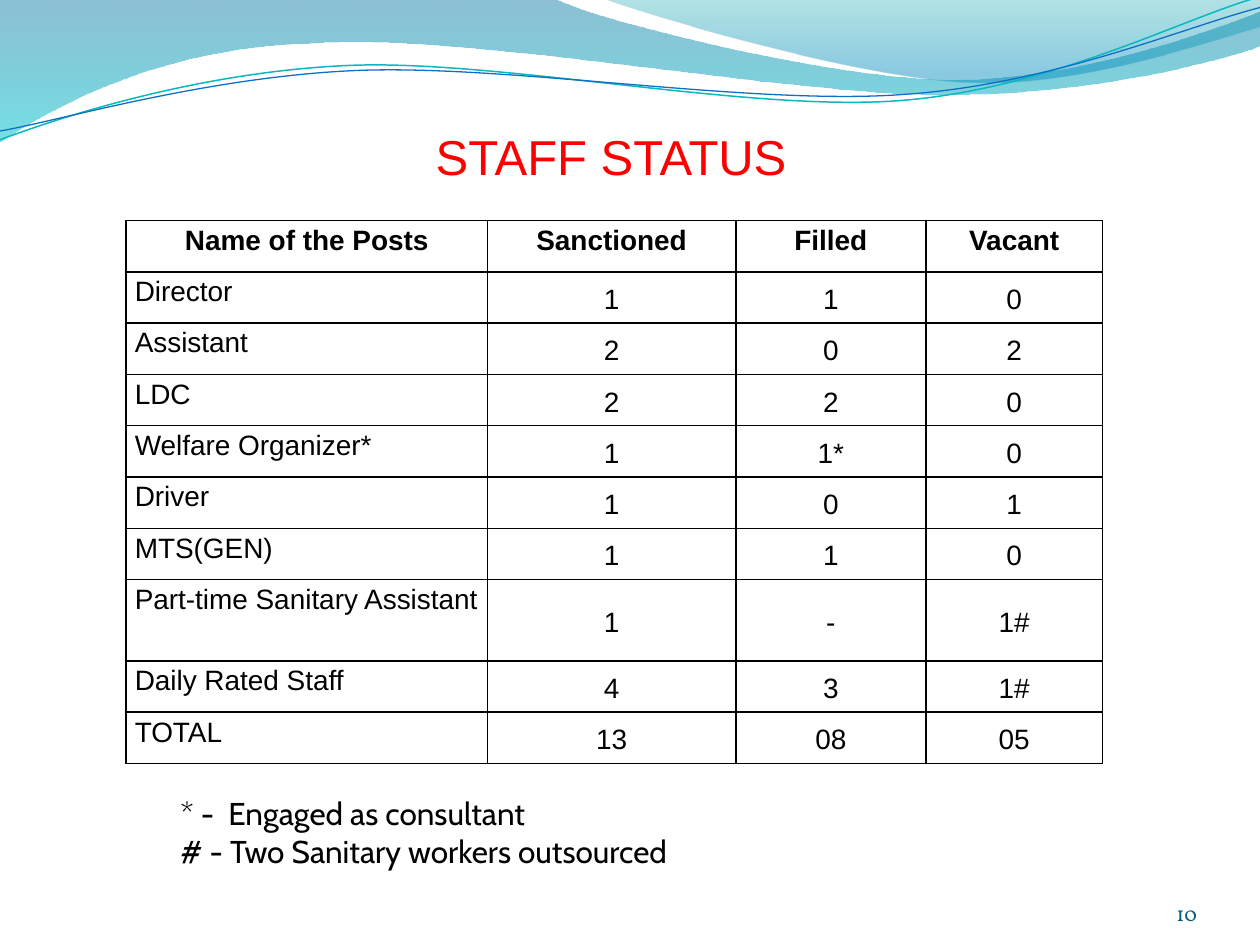
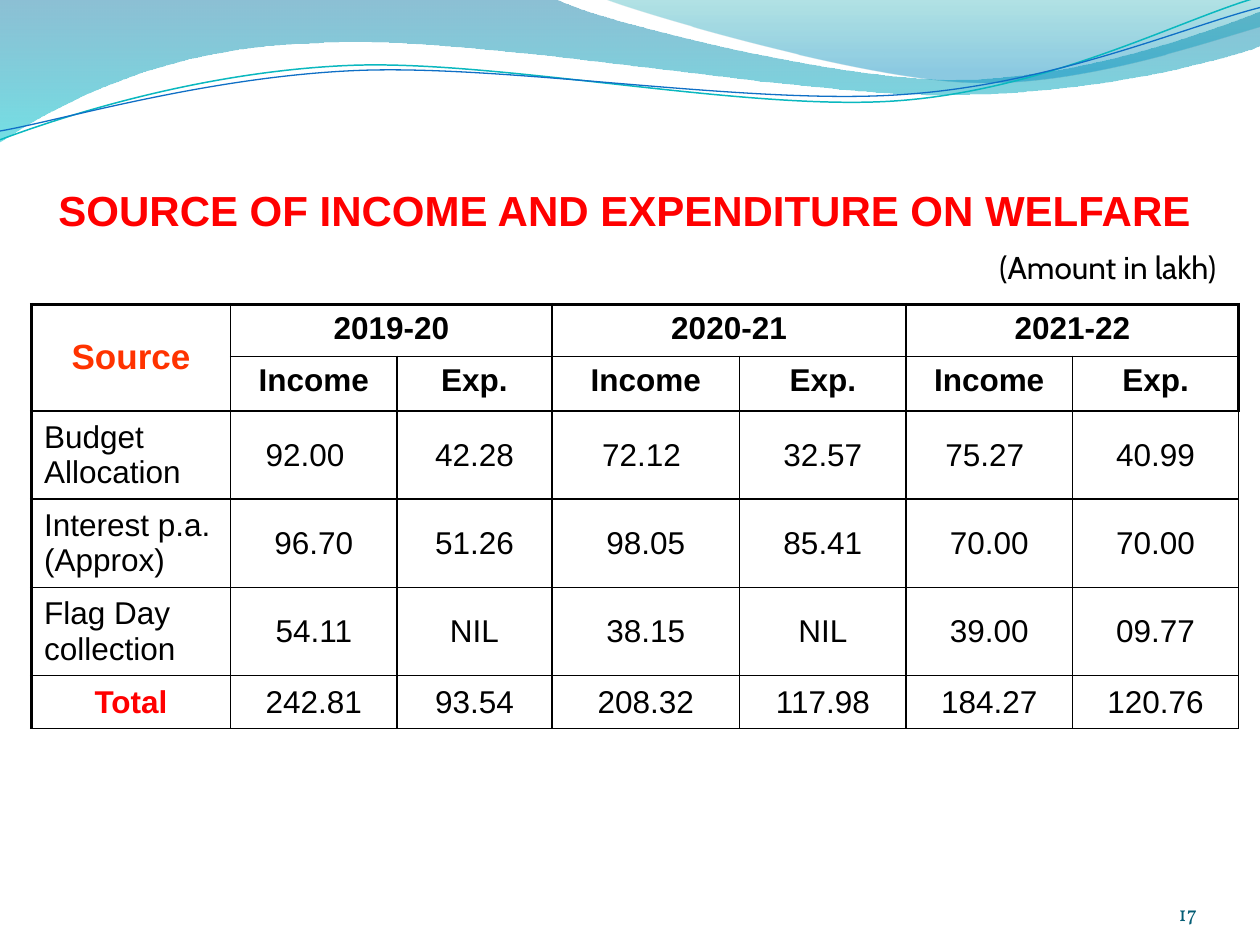
"""Build two welfare department slides: staff status and income by source."""
from dataclasses import dataclass, field

from lxml.etree import SubElement
from pptx import Presentation
from pptx.dml.color import RGBColor
from pptx.enum.text import MSO_ANCHOR, MSO_AUTO_SIZE, PP_ALIGN
from pptx.oxml import parse_xml
from pptx.oxml.ns import nsdecls, qn
from pptx.util import Inches, Pt

GRID_COLUMNS, GRID_ROWS = 120, 90
SLIDE_WIDTH, SLIDE_HEIGHT = Inches(10), Inches(7.5)
TITLE_ONLY = 5
FIRST_WAVE_ID = 100
NOTE_TAB = Inches(0.38)


@dataclass(frozen=True)
class Theme:
    """Colours, fonts and type sizes of the deck."""
    text: str = "000000"
    title: str = "FF0000"
    source: str = "FF3300"
    number: str = "045D75"
    body_font: str = "Arial"
    note_font: str = "Cabin"
    number_font: str = "Vollkorn"
    number_size: float = 12
    small_size: float = 16
    body_size: float = 18
    accent_size: float = 20
    heading_size: float = 24
    title_size: float = 28
    thin_border: float = 1
    thick_border: float = 2.25


THEME = Theme()


@dataclass(frozen=True)
class Frame:
    """A rectangle in grid columns and rows."""
    column: float
    row: float
    columns: float
    rows: float

    def box(self) -> tuple[int, int, int, int]:
        """Return left, top, width and height in EMU."""
        across, down = SLIDE_WIDTH / GRID_COLUMNS, SLIDE_HEIGHT / GRID_ROWS
        return (round(self.column * across), round(self.row * down),
                round(self.columns * across), round(self.rows * down))


@dataclass(frozen=True)
class TextStyle:
    """Look of a run and of its paragraph."""
    size: float
    font: str = THEME.body_font
    color: str = THEME.text
    bold: bool = False
    align: PP_ALIGN = PP_ALIGN.CENTER


@dataclass(frozen=True)
class Wave:
    """A header outline in inches: pairs are corners, sixes are Bezier curves."""
    start: tuple[float, float]
    segments: tuple[tuple[float, ...], ...]
    stops: tuple[tuple[float, str, int], ...] = ()
    line_color: str = ""
    line_width: float = 0


@dataclass(frozen=True)
class TableSpec:
    """Content and rules of a bordered table."""
    frame: Frame
    column_weights: tuple[float, ...]
    row_weights: tuple[float, ...]
    rows: tuple[tuple[str, ...], ...]
    size: float
    insets: tuple[float, float]
    label_anchor: MSO_ANCHOR
    header_rows: int = 1
    line_spacing: float = 1.0
    thick_edges: bool = False
    merges: tuple[tuple[int, int, int, int], ...] = ()
    accents: dict[tuple[int, int], TextStyle] = field(default_factory=dict)
    right_shifts: dict[tuple[int, int], float] = field(default_factory=dict)


WAVES = (
    Wave((0, 0), ((4.4, -0.01), (4.76, 0.17, 6.64, 0.63, 7.58, 0.63),
                  (8.53, 0.63, 9.58, 0.26, 10, 0.09), (10.01, 0.36),
                  (9.83, 0.44, 8.7, 0.76, 7.46, 0.75),
                  (6.22, 0.75, 3.82, 0.28, 2.57, 0.34),
                  (1.29, 0.36, 0.46, 0.83, -0.01, 1.13)),
         stops=((0, "0074A1", 45), (1, "00C6CF", 55))),
    Wave((4.79, -0.01), ((5.09, 0.11, 6.82, 0.62, 7.69, 0.65),
                         (8.56, 0.69, 9.61, 0.32, 10, 0.21), (10, 0)),
         stops=((0, "00A1A9", 30), (0.8, "008BBF", 45))),
    Wave((0, 1.11), ((0.48, 0.93, 1.58, 0.57, 2.77, 0.52),
                     (3.95, 0.47, 5.93, 0.89, 7.13, 0.8),
                     (8.33, 0.71, 9.38, 0.15, 9.98, -0.02)),
         line_color="0AB8BF", line_width=0.85),
    Wave((0, 1.04), ((0.47, 0.96, 1.64, 0.61, 2.83, 0.56),
                     (4.03, 0.51, 5.97, 0.84, 7.17, 0.75),
                     (8.36, 0.67, 9.41, 0.21, 10, 0.06)),
         line_color="0F6FC6", line_width=0.75),
)

STAFF = TableSpec(
    frame=Frame(12, 21, 93, 51.75),
    column_weights=(2.87, 1.97, 1.51, 1.4),
    row_weights=(0.41,) * 7 + (0.65,) + (0.41,) * 2,
    rows=(
        ("Name of the Posts", "Sanctioned", "Filled", "Vacant"),
        ("Director", "1", "1", "0"),
        ("Assistant", "2", "0", "2"),
        ("LDC", "2", "2", "0"),
        ("Welfare Organizer*", "1", "1*", "0"),
        ("Driver", "1", "0", "1"),
        ("MTS(GEN)", "1", "1", "0"),
        ("Part-time Sanitary Assistant", "1", "-", "1#"),
        ("Daily Rated Staff", "4", "3", "1#"),
        ("TOTAL", "13", "08", "05"),
    ),
    size=THEME.small_size, insets=(0.07, 0), label_anchor=MSO_ANCHOR.TOP,
    line_spacing=1.15,
)

INCOME = TableSpec(
    frame=Frame(3, 29, 115, 39),
    column_weights=(1.58, 1.32, 1.23, 1.49, 1.32, 1.32, 1.32),
    row_weights=(0.42, 0.42, 0.68, 0.69, 0.68, 0.43),
    rows=(
        ("Source", "2019-20", "", "2020-21", "", "2021-22", ""),
        ("",) + ("Income", "Exp.") * 3,
        ("Budget Allocation", "92.00", "42.28", "72.12", "32.57", "75.27", "40.99"),
        ("Interest p.a. (Approx)", "96.70", "51.26", "98.05", "85.41", "70.00", "70.00"),
        ("Flag Day collection", "54.11", "NIL", "38.15", "NIL", "39.00", "09.77"),
        ("Total", "242.81", "93.54", "208.32", "117.98", "184.27", "120.76"),
    ),
    size=THEME.body_size, insets=(0.1, 0.05), label_anchor=MSO_ANCHOR.MIDDLE,
    header_rows=2, thick_edges=True,
    merges=((0, 0, 1, 0), (0, 1, 0, 2), (0, 3, 0, 4), (0, 5, 0, 6)),
    accents={(0, 0): TextStyle(THEME.accent_size, color=THEME.source, bold=True),
             (5, 0): TextStyle(THEME.body_size, color=THEME.title, bold=True)},
    right_shifts={(2, 1): 0.14, (2, 3): 0.07, (2, 5): 0.07},
)


def write(paragraph, text: str, style: TextStyle) -> None:
    """Add one styled run to a paragraph."""
    paragraph.alignment = style.align
    if "\t" in text:
        tabs = SubElement(paragraph._p.get_or_add_pPr(), qn("a:tabLst"))
        SubElement(tabs, qn("a:tab"), pos=str(NOTE_TAB), algn="l")
    run = paragraph.add_run()
    run.text = text
    run.font.name, run.font.size, run.font.bold = style.font, Pt(style.size), style.bold
    run.font.color.rgb = RGBColor.from_string(style.color)


def add_text(slide, frame: Frame, lines: tuple[str, ...], style: TextStyle,
             anchor: MSO_ANCHOR = MSO_ANCHOR.TOP, inset: bool = True) -> None:
    """Add a wrapping text box with one paragraph per line."""
    text_frame = slide.shapes.add_textbox(*frame.box()).text_frame
    text_frame.word_wrap = True
    text_frame.vertical_anchor = anchor
    if not inset:
        text_frame.margin_left = text_frame.margin_right = 0
        text_frame.margin_top = text_frame.margin_bottom = 0
    for index, line in enumerate(lines):
        paragraph = text_frame.add_paragraph() if index else text_frame.paragraphs[0]
        write(paragraph, line, style)


def bend(shape, wave: Wave) -> None:
    """Join the three straight steps of each curved segment into one Bezier."""
    outline = shape._element.find(".//" + qn("a:path"))
    steps = iter(outline.findall(qn("a:lnTo")))
    for segment in wave.segments:
        first = next(steps)
        if len(segment) == 6:
            first.tag = qn("a:cubicBezTo")
            for step in (next(steps), next(steps)):
                first.append(step[0])
                outline.remove(step)


def add_wave(slide, wave: Wave):
    """Draw one header wave as a translucent band or as a line."""
    builder = slide.shapes.build_freeform(*map(Inches, wave.start))
    points = [(Inches(segment[index]), Inches(segment[index + 1]))
              for segment in wave.segments for index in range(0, len(segment), 2)]
    builder.add_line_segments(points, close=bool(wave.stops))
    shape = builder.convert_to_shape()
    bend(shape, wave)
    shape.shadow.inherit = False
    if not wave.stops:
        shape.fill.background()
        shape.line.color.rgb = RGBColor.from_string(wave.line_color)
        shape.line.width = Pt(wave.line_width)
        return shape
    shape.line.fill.background()
    shape.fill.gradient()
    shape.fill.gradient_angle = 270
    for stop, (position, color, _) in zip(shape.fill.gradient_stops, wave.stops):
        stop.position = position
        stop.color.rgb = RGBColor.from_string(color)
    colors = shape._element.spPr.find(qn("a:gradFill")).iter(qn("a:srgbClr"))
    for color, (_, _, opacity) in zip(colors, wave.stops):
        SubElement(color, qn("a:alpha"), val=str(opacity * 1000))
    return shape


def share_waves(slide) -> None:
    """Draw the waves once and place them behind everything on the layout."""
    tree = slide.slide_layout.shapes._spTree
    for index, wave in enumerate(WAVES):
        element = add_wave(slide, wave)._element
        element.nvSpPr.cNvPr.set("id", str(FIRST_WAVE_ID + index))
        tree.insert(2 + index, element)


def set_borders(cell, thick_sides: set[str]) -> None:
    """Border a cell, with a heavier line on the named sides."""
    properties = cell._tc.get_or_add_tcPr()
    for index, side in enumerate("LRTB"):
        width = THEME.thick_border if side in thick_sides else THEME.thin_border
        properties.insert(index, parse_xml(
            f'<a:ln{side} {nsdecls("a")} w="{Pt(width)}"><a:solidFill>'
            f'<a:srgbClr val="{THEME.text}"/></a:solidFill></a:ln{side}>'))


def format_cell(cell, spec: TableSpec, row: int, column: int) -> None:
    """Fill one cell with its text, alignment, insets and borders."""
    header, label = row < spec.header_rows, column == 0
    align = PP_ALIGN.LEFT if label and not header else PP_ALIGN.CENTER
    accent = spec.accents.get((row, column))
    side, edge = spec.insets
    cell.margin_left, cell.margin_top, cell.margin_bottom = Inches(side), Inches(edge), Inches(edge)
    cell.margin_right = Inches(side + spec.right_shifts.get((row, column), 0))
    cell.vertical_anchor = MSO_ANCHOR.MIDDLE
    if not accent and (header or label):
        cell.vertical_anchor = MSO_ANCHOR.TOP if header else spec.label_anchor
    cell.fill.background()
    paragraph = cell.text_frame.paragraphs[0]
    paragraph.line_spacing = spec.line_spacing
    write(paragraph, spec.rows[row][column],
          accent or TextStyle(spec.size, bold=header, align=align))
    last_column = column + (cell.span_width if cell.is_merge_origin else 1)
    at_right = header and last_column == len(spec.column_weights)
    sides = {"L": label, "T": row == 0, "R": at_right}
    set_borders(cell, {name for name, outer in sides.items() if outer and spec.thick_edges})


def add_grid_table(slide, spec: TableSpec) -> None:
    """Draw a table whose tracks share its frame by weight."""
    box = spec.frame.box()
    table = slide.shapes.add_table(len(spec.rows), len(spec.column_weights), *box).table
    table.first_row = table.horz_banding = False
    for column, weight in zip(table.columns, spec.column_weights):
        column.width = round(box[2] * weight / sum(spec.column_weights))
    for row, weight in zip(table.rows, spec.row_weights):
        row.height = round(box[3] * weight / sum(spec.row_weights))
    for top, left, bottom, right in spec.merges:
        table.cell(top, left).merge(table.cell(bottom, right))
    for row in range(len(spec.rows)):
        for column in range(len(spec.column_weights)):
            cell = table.cell(row, column)
            if not cell.is_spanned:
                format_cell(cell, spec, row, column)


def add_slide(presentation, title: str, frame: Frame, style: TextStyle, number: str):
    """Add a slide with its title and its page number."""
    slide = presentation.slides.add_slide(presentation.slide_layouts[TITLE_ONLY])
    shape = slide.shapes.title
    shape.left, shape.top, shape.width, shape.height = frame.box()
    shape.text_frame.auto_size = MSO_AUTO_SIZE.NONE
    shape.text_frame.vertical_anchor = MSO_ANCHOR.MIDDLE
    write(shape.text_frame.paragraphs[0], title, style)
    add_text(slide, Frame(104, 83.4, 10, 4.8), (number,),
             TextStyle(THEME.number_size, THEME.number_font, THEME.number, align=PP_ALIGN.RIGHT),
             MSO_ANCHOR.BOTTOM, inset=False)
    return slide


def main() -> None:
    """Build both slides and save the deck."""
    presentation = Presentation()
    presentation.slide_width, presentation.slide_height = SLIDE_WIDTH, SLIDE_HEIGHT
    staff = add_slide(presentation, "STAFF STATUS", Frame(4.2, 9.3, 108, 11),
                      TextStyle(THEME.title_size, color=THEME.title), "10")
    share_waves(staff)
    add_grid_table(staff, STAFF)
    add_text(staff, Frame(16, 75, 87, 8.5),
             ("* -\tEngaged as consultant", "# - Two Sanitary workers outsourced"),
             TextStyle(THEME.body_size, THEME.note_font, align=PP_ALIGN.LEFT))
    income = add_slide(presentation, "SOURCE OF INCOME AND EXPENDITURE ON WELFARE",
                       Frame(4, 17, 111, 6),
                       TextStyle(THEME.heading_size, color=THEME.title, bold=True), "17")
    add_grid_table(income, INCOME)
    add_text(income, Frame(86, 23, 31, 4.8), ("(Amount in lakh)",),
             TextStyle(THEME.body_size, THEME.note_font, align=PP_ALIGN.RIGHT))
    presentation.save("out.pptx")


if __name__ == "__main__":
    main()
